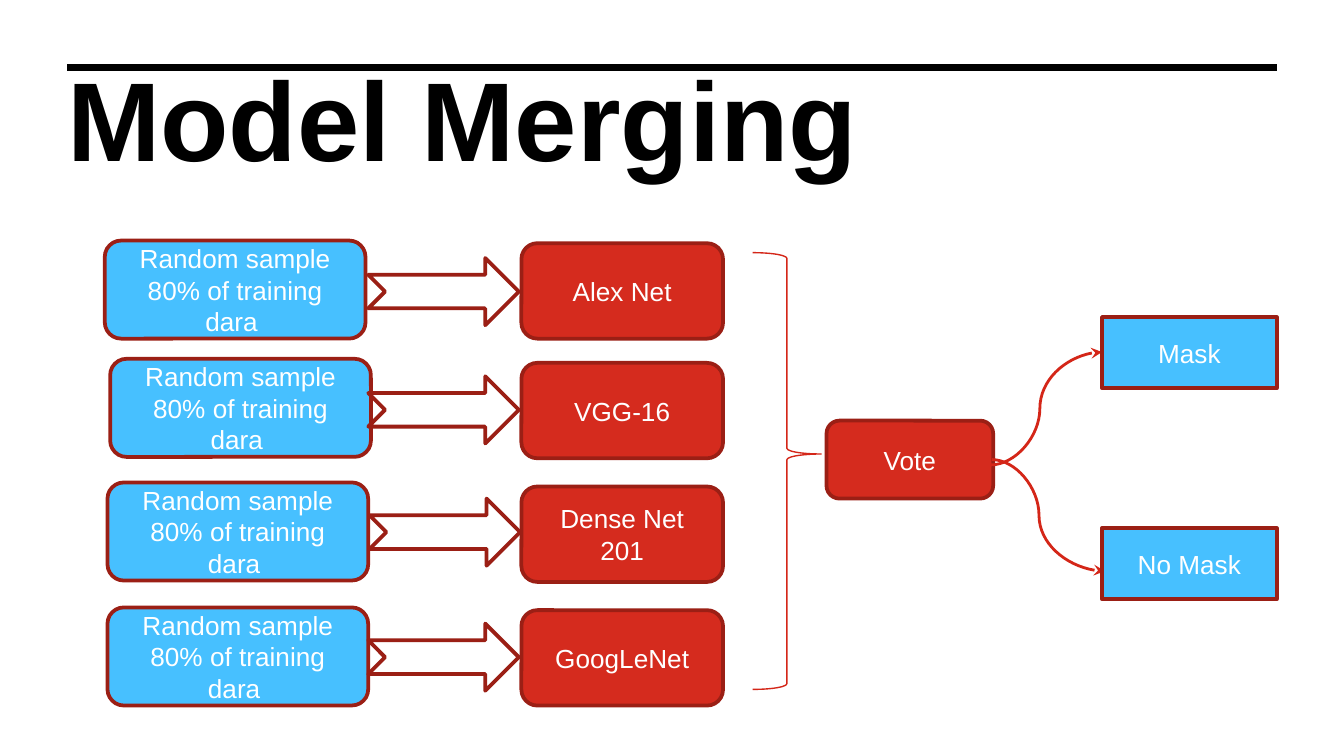
from lxml.etree import SubElement
from pptx import Presentation
from pptx.dml.color import RGBColor
from pptx.enum.shapes import MSO_CONNECTOR as Connector, MSO_SHAPE as Shape
from pptx.enum.text import MSO_ANCHOR as Anchor, PP_ALIGN as Align
from pptx.oxml.ns import qn
from pptx.util import Emu, Pt

EMU_PER_PX = 9144
COLORS = {
    "black": "000000",
    "white": "FFFFFF",
    "red": "D52B1E",
    "dark_red": "9B1F15",
    "curve": "D42618",
    "blue": "47C0FF",
}


def px(value):
    return Emu(value * EMU_PER_PX)


def color(name):
    return RGBColor.from_string(COLORS[name])


class SlideBuilder:
    font = "Arial"
    label_size = 14
    border = 2

    def __init__(self, slide):
        self.slide = slide
        self.shapes = slide.shapes

    def add_run(self, paragraph, text, size, color_name, bold=False):
        run = paragraph.add_run()
        run.text = text
        run.font.name = self.font
        run.font.size = Pt(size)
        run.font.bold = bold
        run.font.color.rgb = color(color_name)

    def title(self, text, left, top, width, height):
        shape = self.shapes.title
        shape.left, shape.top = px(left), px(top)
        shape.width, shape.height = px(width), px(height)
        frame = shape.text_frame
        frame.margin_left = frame.margin_right = 0
        frame.margin_top = frame.margin_bottom = 0
        frame.vertical_anchor = Anchor.TOP
        frame.word_wrap = True
        paragraph = frame.paragraphs[0]
        paragraph.alignment = Align.LEFT
        paragraph.line_spacing = 0.8
        paragraph.space_before = Pt(0)
        self.add_run(paragraph, text, 60, "black", bold=True)

    def outline(self, kind, left, top, width, height, line="dark_red", weight=border, fill=None):
        shape = self.shapes.add_shape(kind, px(left), px(top), px(width), px(height))
        shape.shadow.inherit = False
        if fill:
            shape.fill.solid()
            shape.fill.fore_color.rgb = color(fill)
        else:
            shape.fill.background()
        shape.line.color.rgb = color(line)
        shape.line.width = Pt(weight)
        return shape

    def box(self, kind, text, left, top, width, height, fill):
        shape = self.outline(kind, left, top, width, height, fill=fill)
        frame = shape.text_frame
        frame.word_wrap = True
        frame.vertical_anchor = Anchor.MIDDLE
        paragraph = frame.paragraphs[0]
        paragraph.alignment = Align.CENTER
        self.add_run(paragraph, text, self.label_size, "white")

    def brace(self, left, top, width, height, curl, tip):
        shape = self.outline(Shape.RIGHT_BRACE, left, top, width, height, "curve", 0.75)
        shape.adjustments[0] = curl
        shape.adjustments[1] = tip

    def connector(self, kind, start, end, line, weight):
        connector = self.shapes.add_connector(kind, *map(px, start + end))
        connector.line.color.rgb = color(line)
        connector.line.width = Pt(weight)
        SubElement(connector._element.spPr, qn("a:effectLst"))
        return connector

    def curved_arrow(self, start, end, bend):
        connector = self.connector(Connector.CURVE, start, end, "curve", 1.5)
        SubElement(connector.line._get_or_add_ln(), qn("a:tailEnd"), type="stealth")
        geometry = connector._element.spPr.find(qn("a:prstGeom"))
        guides = geometry.find(qn("a:avLst"))
        SubElement(guides, qn("a:gd"), name="adj1", fmla=f"val {round(bend * 100000)}")


def main():
    presentation = Presentation()
    presentation.slide_width = px(1000)
    presentation.slide_height = presentation.slide_width * 9 // 16
    slide = presentation.slides.add_slide(presentation.slide_layouts[5])
    builder = SlideBuilder(slide)

    builder.title("Model Merging", 50, 56, 686, 190)
    builder.connector(Connector.STRAIGHT, (50, 50), (950, 50), "black", 3.75)
    builder.brace(560, 188, 51, 325, 0.083, 0.461)
    builder.box(Shape.ROUNDED_RECTANGLE, "Vote", 615, 313, 124, 58, "red")

    networks = [
        ("Alex Net", 181, (78, 179), (274, 192)),
        ("VGG-16", 270, (82, 267), (274, 280)),
        ("Dense Net 201", 362, (80, 359), (275, 371)),
        ("GoogLeNet", 454, (80, 452), (274, 464)),
    ]
    for name, top, sample, arrow in networks:
        builder.box(Shape.ROUNDED_RECTANGLE, name, 388, top, 150, 71, "red")
        builder.box(Shape.ROUNDED_RECTANGLE, "Random sample 80% of training dara ",
                    *sample, 194, 73, "blue")
        builder.outline(Shape.NOTCHED_RIGHT_ARROW, *arrow, 112, 50, fill="white")

    builder.curved_arrow((737, 346), (820, 262), 0.443)
    builder.curved_arrow((738, 342), (822, 425), 0.418)
    for text, top in [("Mask", 236), ("No Mask", 393)]:
        builder.box(Shape.RECTANGLE, text, 820, top, 130, 53, "blue")

    presentation.save("out.pptx")


if __name__ == "__main__":
    main()
